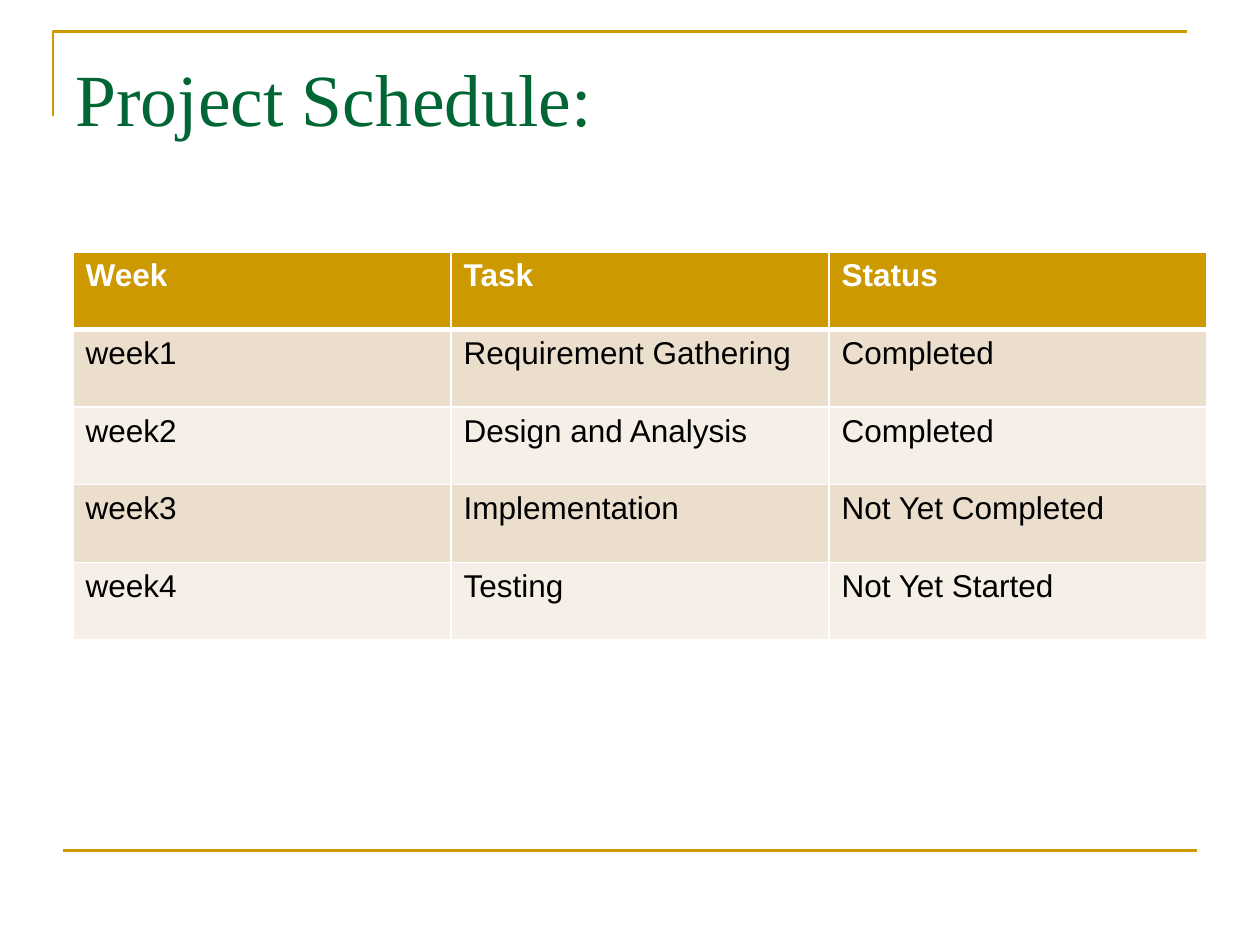
from lxml import etree
from pptx import Presentation
from pptx import util as u
from pptx.dml.color import RGBColor
from pptx.enum import shapes, text
from pptx.oxml import ns

TITLE = "Project Schedule:"
SCHEDULE = [
    ("Week", "Task", "Status"),
    ("week1", "Requirement Gathering", "Completed"),
    ("week2", "Design and Analysis", "Completed"),
    ("week3", "Implementation", "Not Yet Completed"),
    ("week4", "Testing", "Not Yet Started"),
]

GOLD = RGBColor(0xCC, 0x99, 0x00)
GREEN = RGBColor(0x00, 0x66, 0x33)
WHITE = RGBColor(0xFF, 0xFF, 0xFF)
BLACK = RGBColor(0x00, 0x00, 0x00)
BANDS = [RGBColor(0xF6, 0xEF, 0xE7), RGBColor(0xEC, 0xDE, 0xCC)]


def write(frame, words, font="Arial", size=18, color=BLACK, bold=False):
    para = frame.paragraphs[0]
    para.alignment = text.PP_ALIGN.LEFT
    span = para.add_run()
    span.text = words
    span.font.name = font
    span.font.size = u.Pt(size)
    span.font.color.rgb = color
    span.font.bold = bold


def style_line(line):
    line.color.rgb = GOLD
    line.width = u.Pt(1.5)


def set_borders(cell, widths):
    props = cell._tc.get_or_add_tcPr()
    for index, (side, width) in enumerate(widths.items()):
        border = etree.Element(ns.qn("a:ln" + side), w=str(u.Pt(width)))
        fill = etree.SubElement(border, ns.qn("a:solidFill"))
        etree.SubElement(fill, ns.qn("a:srgbClr"), val=str(WHITE))
        props.insert(index, border)


def add_frame(page):
    builder = page.shapes.build_freeform(u.Inches(0.42), u.Inches(0.92))
    corner = [(u.Inches(0.42), u.Inches(0.25)), (u.Inches(9.42), u.Inches(0.25))]
    builder.add_line_segments(corner, close=False)
    bracket = builder.convert_to_shape()
    bracket.fill.background()
    bracket.shadow.inherit = False
    style_line(bracket.line)

    rule = page.shapes.add_connector(
        shapes.MSO_CONNECTOR.STRAIGHT,
        u.Inches(0.5), u.Inches(6.75), u.Inches(9.5), u.Inches(6.75))
    etree.SubElement(rule._element.spPr, ns.qn("a:effectLst"))
    style_line(rule.line)
    rule._element.spPr.append(rule._element.spPr.find(ns.qn("a:effectLst")))


def add_title(page):
    title = page.shapes.title
    title.left, title.top = u.Inches(0.5), u.Inches(0.3)
    title.width, title.height = u.Inches(9), u.Inches(1.25)
    frame = title.text_frame
    frame.auto_size = text.MSO_AUTO_SIZE.NONE
    frame.vertical_anchor = text.MSO_ANCHOR.TOP
    frame.margin_top = u.Inches(0.12)
    write(frame, TITLE, font="Times New Roman", size=42, color=GREEN)


def add_schedule(page):
    table = page.shapes.add_table(
        len(SCHEDULE), len(SCHEDULE[0]),
        u.Inches(0.58), u.Inches(2), u.Inches(9), u.Inches(3.08)).table
    for row, entries in enumerate(SCHEDULE):
        header = row == 0
        for column, words in enumerate(entries):
            cell = table.cell(row, column)
            cell.fill.solid()
            cell.fill.fore_color.rgb = GOLD if header else BANDS[row % 2]
            set_borders(cell, {"L": 1, "R": 1, "T": 3 if row == 1 else 1,
                               "B": 3 if header else 1})
            write(cell.text_frame, words, bold=header,
                  color=WHITE if header else BLACK)


def main():
    deck = Presentation()
    deck.slide_width, deck.slide_height = u.Inches(10), u.Inches(7.5)
    page = deck.slides.add_slide(deck.slide_layouts[5])
    add_frame(page)
    add_title(page)
    add_schedule(page)
    deck.save("out.pptx")


if __name__ == "__main__":
    main()
